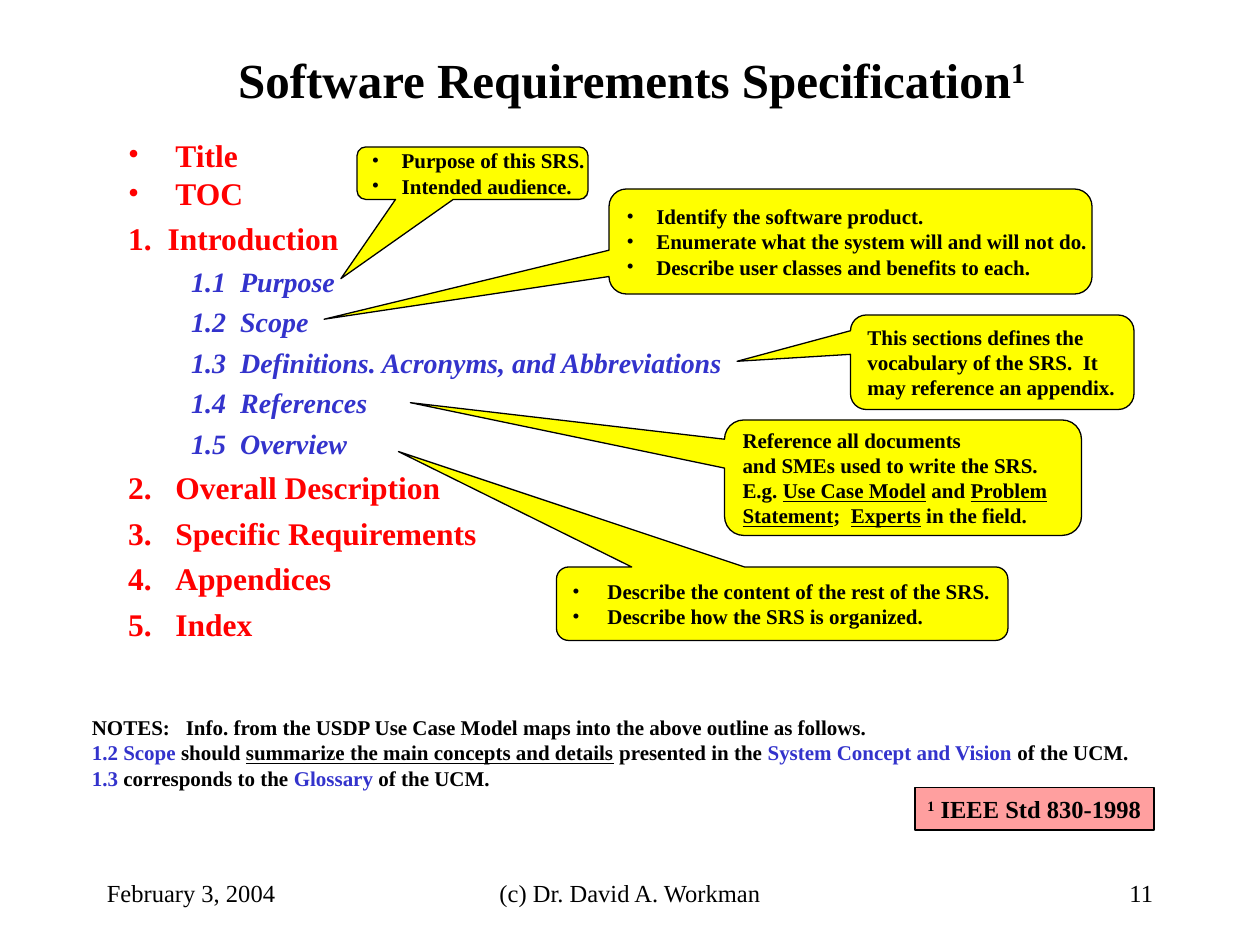
"""Build a slide that outlines a software requirements specification."""
from lxml import etree
from pptx import Presentation
from pptx.dml.color import RGBColor
from pptx.enum.shapes import MSO_SHAPE
from pptx.enum.text import MSO_ANCHOR, PP_ALIGN
from pptx.oxml.ns import qn
from pptx.util import Pt

LEFT, MID, RIGHT = PP_ALIGN.LEFT, PP_ALIGN.CENTER, PP_ALIGN.RIGHT
TOP, CENTER = MSO_ANCHOR.TOP, MSO_ANCHOR.MIDDLE
RECT, CALLOUT = MSO_SHAPE.RECTANGLE, MSO_SHAPE.ROUNDED_RECTANGULAR_CALLOUT
BLACK, RED, BLUE, YELLOW, PINK = "000000", "FF0000", "3333CC", "FFFF00", "FF9F9F"
FACE = "Times New Roman"
DOT = ("buChar", {"char": "•"})
COUNT = ("buAutoNum", {"type": "arabicPeriod", "startAt": "2"})
LINE, RAISE = {"under": True}, {"raised": True}


def hue(code):
    return RGBColor.from_string(code)


def write(shape, text, size=12, color=BLACK, bold=True, slant=False, align=LEFT,
          anchor=CENTER, wrap=True, margin=0, hang=0, mark=None, tab=None,
          before=0, lead=None):
    frame = shape.text_frame
    frame.word_wrap = wrap
    frame.vertical_anchor = anchor
    para = frame.paragraphs[0]
    if para.runs:
        para = frame.add_paragraph()
        para.space_before = Pt(before)
    para.alignment = align
    para.line_spacing = lead
    props = para._p.get_or_add_pPr()
    if margin:
        props.set("marL", str(Pt(margin)))
        props.set("indent", str(Pt(-hang)))
    if mark:
        etree.SubElement(props, qn("a:buFont"), {"typeface": FACE})
        etree.SubElement(props, qn("a:" + mark[0]), mark[1])
    if tab:
        stops = etree.SubElement(props, qn("a:tabLst"))
        etree.SubElement(stops, qn("a:tab"), {"pos": str(Pt(tab)), "algn": "l"})
    for piece in [text] if isinstance(text, str) else text:
        words, look = (piece, {}) if isinstance(piece, str) else piece
        for i, part in enumerate(words.split("\n")):
            if i:
                para.add_line_break()
            if not part:
                continue
            run = para.add_run()
            run.text = part
            font = run.font
            font.name, font.size = FACE, Pt(size)
            font.bold, font.italic = bold, slant
            font.color.rgb = hue(look.get("color", color))
            if look.get("under"):
                font.underline = True
            if look.get("raised"):
                run._r.get_or_add_rPr().set("baseline", "30000")


deck = Presentation()
deck.slide_width, deck.slide_height = Pt(720), Pt(540)
shapes = deck.slides.add_slide(deck.slide_layouts[6]).shapes

title = shapes.add_textbox(Pt(55), Pt(21.4), Pt(612), Pt(47.5))
write(title, ["Software Requirements Specification", ("1", RAISE)], size=28, align=MID)

body = shapes.add_textbox(Pt(66.2), Pt(78.2), Pt(612), Pt(390))
head = dict(size=18, color=RED, anchor=TOP, before=4.5)
for name in ("Title", "TOC"):
    write(body, name, margin=27, hang=27, mark=DOT, lead=0.8, **head)
write(body, "1.\tIntroduction", margin=22.5, hang=22.5, **head)
topics = ("Purpose", "Scope", "Definitions. Acronyms, and Abbreviations",
          "References", "Overview")
for i, name in enumerate(topics, 1):
    write(body, f"1.{i}\t{name}", size=16, color=BLUE, slant=True, anchor=TOP,
          margin=64, hang=28, before=4)
for name in ("Overall Description", "Specific Requirements", "Appendices", "Index"):
    write(body, name, margin=27, hang=27, mark=COUNT, **head)

short = dict(margin=17, hang=17, mark=DOT)
wide = dict(margin=20, hang=20, mark=DOT)
panels = [
    (RECT, (522.7, 450, 136.6, 24.4), (), PINK, 1, dict(size=14, align=MID),
     [[("1", RAISE), " IEEE Std 830-1998"]]),
    (CALLOUT, (204, 84, 132, 30), (-0.57, 2.01), YELLOW, 0.75, short,
     ["Purpose of this SRS.", "Intended audience."]),
    (CALLOUT, (486, 180, 162, 54), (-0.9, -0.01), YELLOW, 0.75, {},
     ["This sections defines the \nvocabulary of the SRS.  It\n"
      "may reference an appendix."]),
    (CALLOUT, (414, 240, 204, 66), (-1.38, -0.65), YELLOW, 0.75, {},
     ["Reference all documents",
      ["and SMEs used to write the SRS. \nE.g. ", ("Use Case Model", LINE),
       " and ", ("Problem", LINE)],
      [("Statement", LINE), ";  ", ("Experts", LINE), " in the field."]]),
    (CALLOUT, (318, 324, 258, 42), (-0.85, -2.07), YELLOW, 0.75, wide,
     ["Describe the content of the rest of the SRS.",
      "Describe how the SRS is organized."]),
    (CALLOUT, (348, 108, 276, 60), (-1.09, 0.74), YELLOW, 0.75, short,
     ["Identify the software product.",
      "Enumerate what the system will and will not do.",
      "Describe user classes and benefits to each."]),
]
for kind, place, tip, fill, width, form, rows in panels:
    panel = shapes.add_shape(kind, *map(Pt, place))
    panel.shadow.inherit = False
    panel.fill.solid()
    panel.fill.fore_color.rgb = hue(fill)
    panel.line.color.rgb = hue(BLACK)
    panel.line.width = Pt(width)
    for i, shift in enumerate(tip):
        panel.adjustments[i] = shift
    for row in rows:
        write(panel, row, wrap=False, **form)

notes = shapes.add_textbox(Pt(45.4), Pt(404.9), Pt(608), Pt(50.4))
tint = {"color": BLUE}
plain = dict(anchor=TOP, wrap=False)
write(notes, "NOTES:\tInfo. from the USDP Use Case Model maps into the above "
      "outline as follows.", tab=53.7, **plain)
write(notes, [("1.2 Scope", tint), " should ",
              ("summarize the main concepts and details", LINE),
              " presented in the ", ("System Concept and Vision", tint),
              " of the UCM."], **plain)
write(notes, [("1.3", tint), " corresponds to the ", ("Glossary ", tint),
              "of the UCM."], **plain)

for left, width, align, text in ((246, 228, MID, "(c) Dr. David A. Workman"),
                                 (516, 150, RIGHT, "11"),
                                 (54, 150, LEFT, "February 3, 2004")):
    foot = shapes.add_textbox(Pt(left), Pt(492), Pt(width), Pt(36))
    write(foot, text, size=14, bold=False, align=align)

deck.save("out.pptx")
